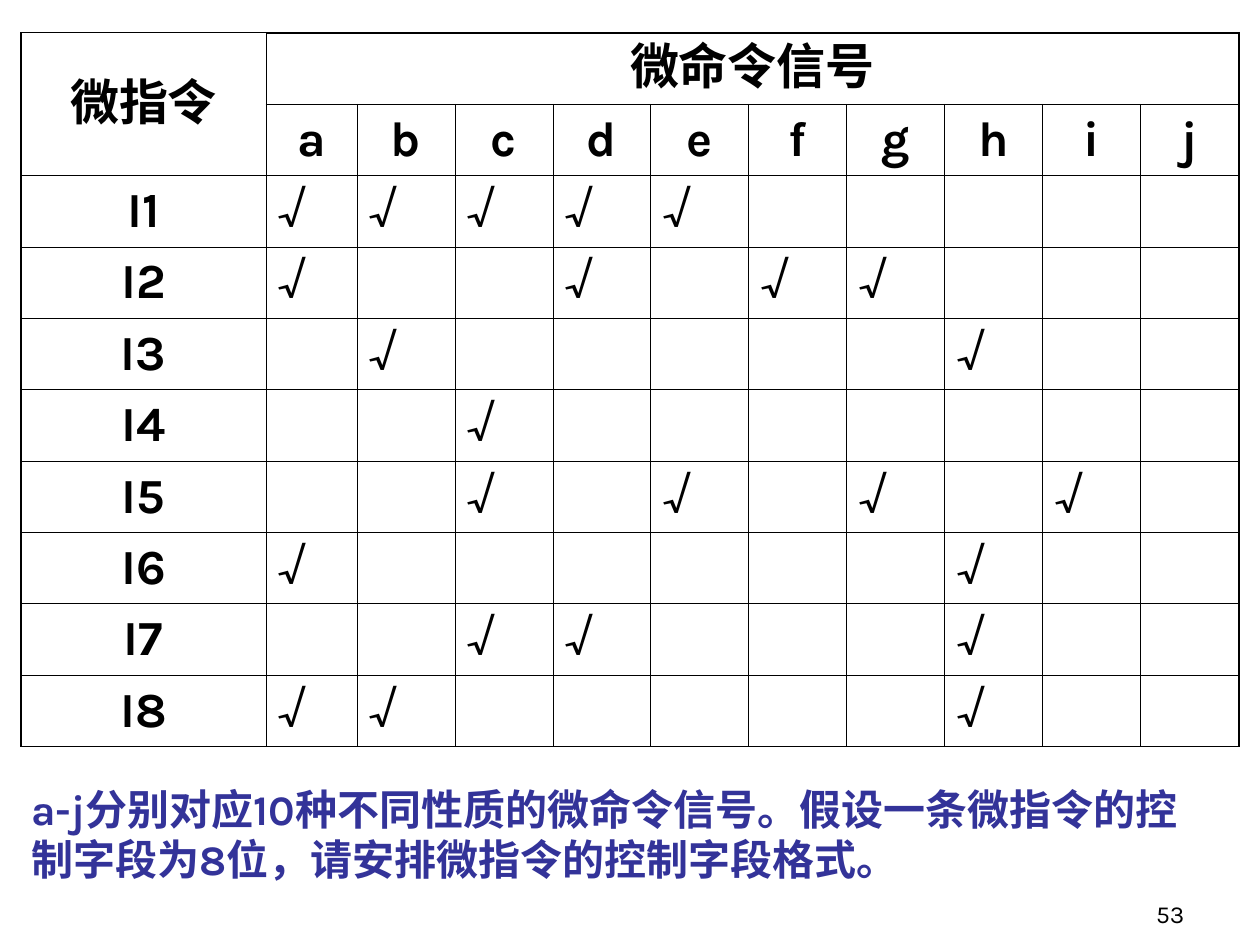
from dataclasses import dataclass

from lxml import etree
from pptx import Presentation
from pptx.dml.color import RGBColor
from pptx.enum.text import MSO_ANCHOR, MSO_AUTO_SIZE, PP_ALIGN
from pptx.oxml.ns import qn
from pptx.util import Pt

LEFT, CENTER, RIGHT = PP_ALIGN.LEFT, PP_ALIGN.CENTER, PP_ALIGN.RIGHT
TOP, MIDDLE, BOTTOM = MSO_ANCHOR.TOP, MSO_ANCHOR.MIDDLE, MSO_ANCHOR.BOTTOM

CORNER_HEADER = "微指令"
SIGNAL_HEADER = "微命令信号"
SIGNALS = "abcdefghij"
INSTRUCTIONS = {
    "I1": "abcde",
    "I2": "adfg",
    "I3": "bh",
    "I4": "c",
    "I5": "cegi",
    "I6": "ah",
    "I7": "cdh",
    "I8": "abh",
}
MARK = "√"
QUESTION = [
    "a-j分别对应10种不同性质的微命令信号。假设一条微指令的控",
    "制字段为8位，请安排微指令的控制字段格式。",
]
PAGE_NUMBER = "53"

COLUMN_WIDTHS = [140, 52] + [56] * 9
ROW_HEIGHT = 40.8
HEADER_ROWS = 2


@dataclass(frozen=True)
class Theme:
    font: str = "Karla"
    black: str = "000000"
    blue: str = "333399"
    table_size: int = 28
    question_size: int = 24
    page_size: int = 14
    inner_line: float = 0.45
    outer_line: float = 1.08


THEME = Theme()


def write(frame, lines, size, color=THEME.black, bold=False, align=LEFT):
    for index, line in enumerate(lines):
        paragraph = frame.paragraphs[0] if index == 0 else frame.add_paragraph()
        paragraph.alignment = align
        run = paragraph.add_run()
        run.text = line
        run.font.size = Pt(size)
        run.font.bold = bold
        run.font.name = THEME.font
        run.font.color.rgb = RGBColor.from_string(color)
        etree.SubElement(run.font._element, qn("a:ea"), typeface=THEME.font)


def add_text(slide, lines, box, anchor=TOP, wrap=True, **text_format):
    shape = slide.shapes.add_textbox(*(Pt(value) for value in box))
    frame = shape.text_frame
    frame.word_wrap = wrap
    frame.auto_size = MSO_AUTO_SIZE.NONE if wrap else MSO_AUTO_SIZE.SHAPE_TO_FIT_TEXT
    frame.vertical_anchor = anchor
    write(frame, lines, **text_format)


def set_borders(cell, widths):
    """Draw cell borders; widths maps L, R, T and B to points."""
    properties = cell._tc.get_or_add_tcPr()
    for position, (side, width) in enumerate(widths.items()):
        line = etree.Element(qn(f"a:ln{side}"), w=str(Pt(width)))
        fill = etree.SubElement(line, qn("a:solidFill"))
        etree.SubElement(fill, qn("a:srgbClr"), val=THEME.black)
        properties.insert(position, line)


def fill_cell(cell, text, **text_format):
    write(cell.text_frame, [text], THEME.table_size, **text_format)


def add_signal_table(slide):
    row_count = HEADER_ROWS + len(INSTRUCTIONS)
    column_count = len(COLUMN_WIDTHS)
    table = slide.shapes.add_table(
        row_count, column_count, Pt(12), Pt(18.7),
        Pt(sum(COLUMN_WIDTHS)), Pt(ROW_HEIGHT * row_count)).table
    table.first_row = table.horz_banding = False
    for column, width in zip(table.columns, COLUMN_WIDTHS):
        column.width = Pt(width)
    for row in table.rows:
        row.height = Pt(ROW_HEIGHT)

    table.cell(0, 0).merge(table.cell(1, 0))
    table.cell(0, 1).merge(table.cell(0, column_count - 1))

    for row in range(row_count):
        for column in range(column_count):
            cell = table.cell(row, column)
            cell.fill.background()
            cell.vertical_anchor = MIDDLE
            last_column = column + (cell.span_width if cell.is_merge_origin else 1)
            outer = {
                "L": column == 0,
                "R": last_column == column_count,
                "T": row == 0 and column > 0,
                "B": row == row_count - 1,
            }
            set_borders(cell, {
                side: THEME.outer_line if edge else THEME.inner_line
                for side, edge in outer.items()})

    header = {"bold": True, "align": CENTER}
    fill_cell(table.cell(0, 0), CORNER_HEADER, **header)
    fill_cell(table.cell(0, 1), SIGNAL_HEADER, **header)
    for column, signal in enumerate(SIGNALS, start=1):
        fill_cell(table.cell(1, column), signal, **header)
    for row, (name, active) in enumerate(INSTRUCTIONS.items(), start=HEADER_ROWS):
        fill_cell(table.cell(row, 0), name, **header)
        for signal in active:
            fill_cell(table.cell(row, SIGNALS.index(signal) + 1), MARK)


def main():
    presentation = Presentation()
    presentation.slide_width, presentation.slide_height = Pt(720), Pt(540)
    slide = presentation.slides.add_slide(presentation.slide_layouts[6])
    add_text(slide, [PAGE_NUMBER], (534, 498, 150, 36), anchor=BOTTOM,
             size=THEME.page_size, align=RIGHT)
    add_signal_table(slide)
    add_text(slide, QUESTION, (10.8, 444.2, 689, 64.8), wrap=False,
             size=THEME.question_size, color=THEME.blue, bold=True)
    presentation.save("out.pptx")


if __name__ == "__main__":
    main()
